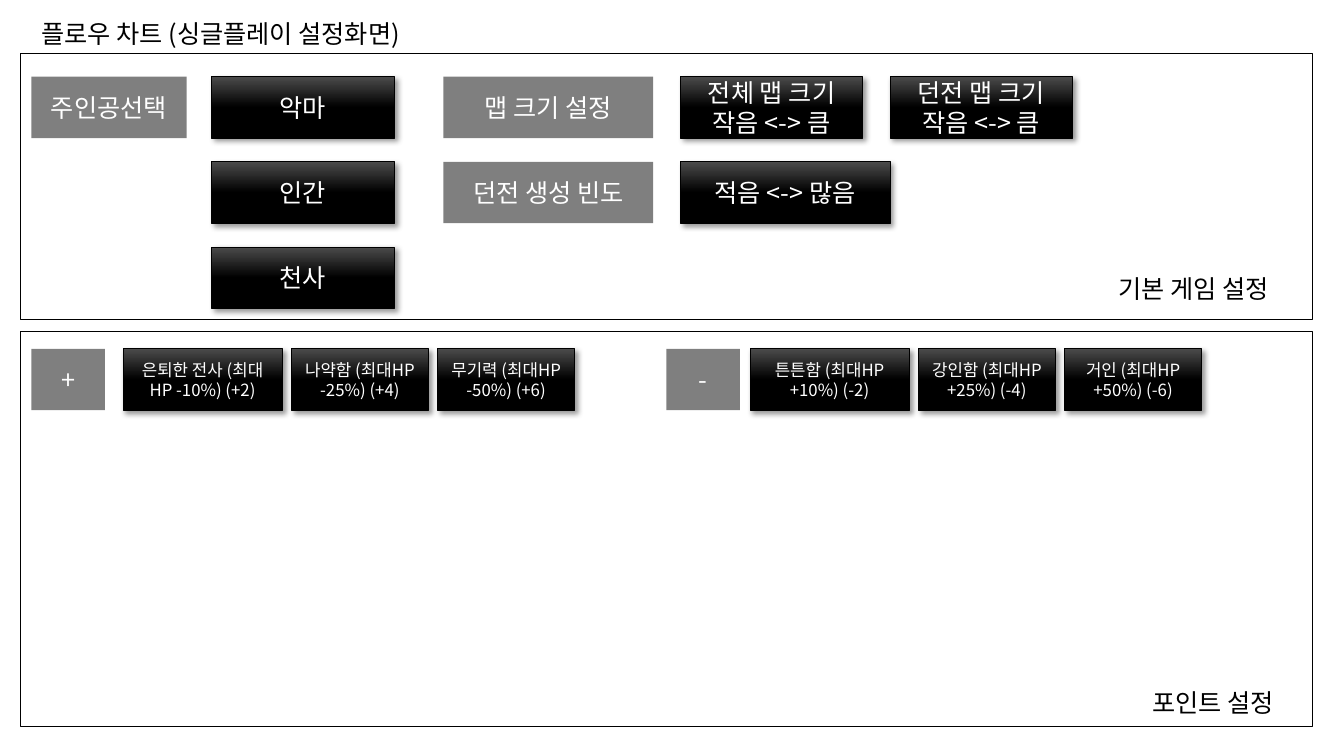
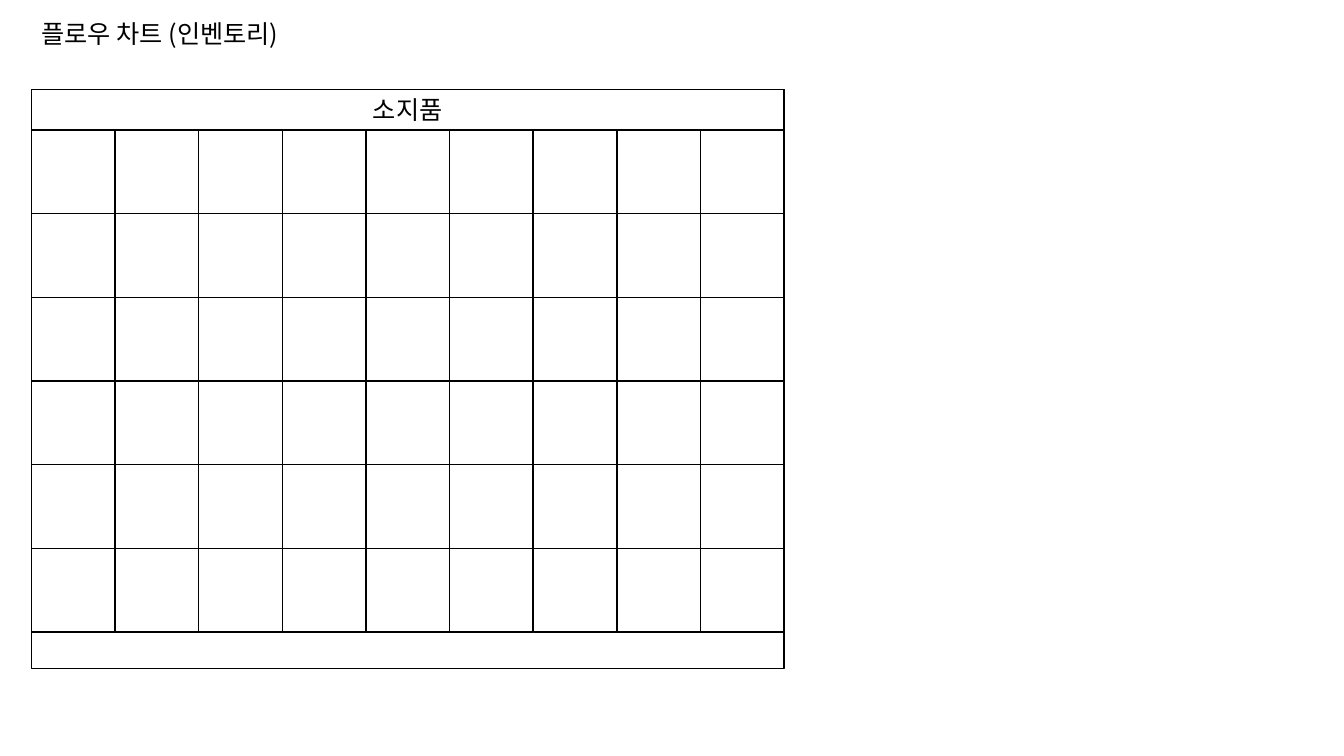
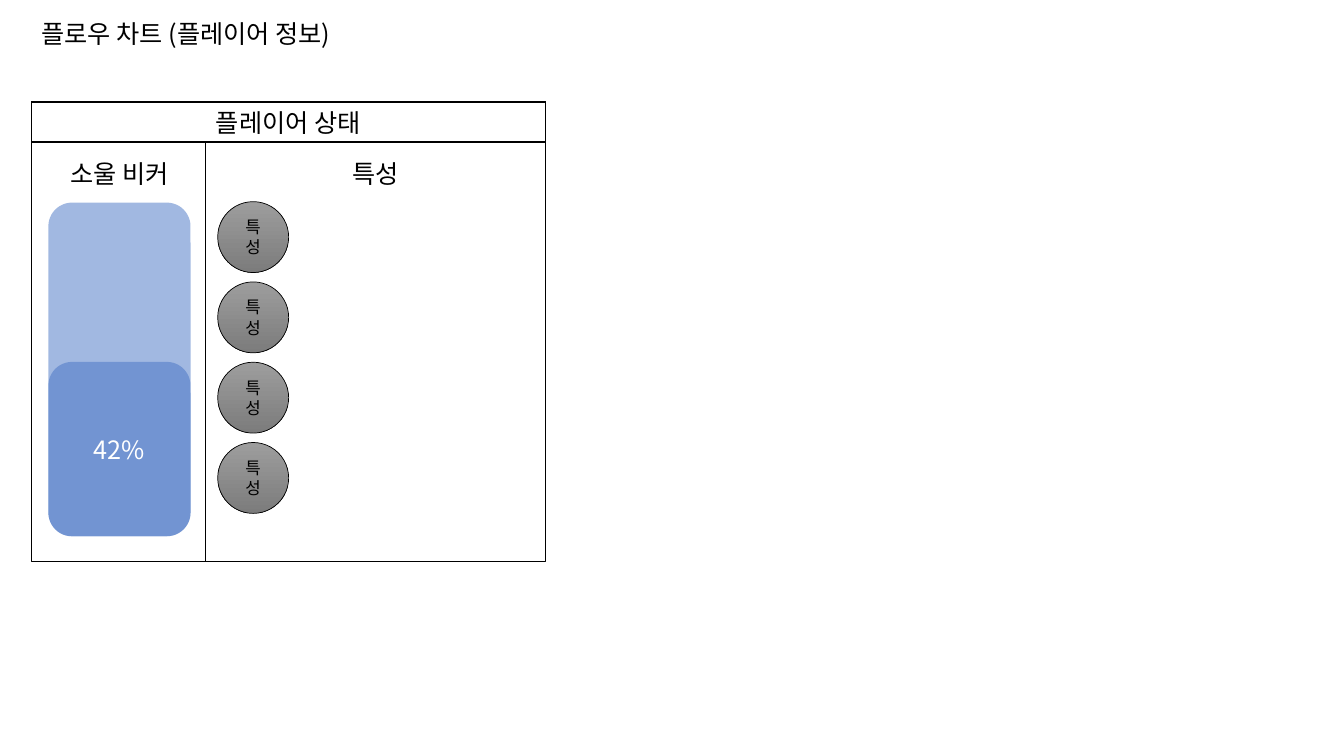
"""Build three game-menu flow chart slides: single play setup, inventory and player information."""
from lxml.etree import SubElement
from pptx import Presentation
from pptx.enum.shapes import MSO_CONNECTOR, MSO_SHAPE as SHAPE
from pptx.enum.text import MSO_ANCHOR as ANCHOR, MSO_AUTO_SIZE as AUTO, PP_ALIGN as ALIGN
from pptx.dml.color import RGBColor
from pptx.oxml.ns import qn
from pptx.util import Inches, Pt

FONT = "Noto Sans CJK KR"
BLACK, WHITE, BLUE = "000000", "FFFFFF", "4472C4"
LEFT, BAR = 2.33, 5.33

TAG = dict(fill=["000000"], alpha=50, ink=WHITE)
BUTTON = dict(fill=["4B4B4B", "000000"], fade_end=0.5, border=0.5, shadow=True, ink=WHITE)
FRAME = dict(border=0.75)
CELL = dict(fill=[WHITE], border=1)
LIQUID = dict(kind=SHAPE.ROUNDED_RECTANGLE, fill=[BLUE], alpha=50, ink=WHITE)
TRAIT = dict(kind=SHAPE.OVAL, fill=["9D9D9D", "7C7C7C"], border=0.5, size=12)
NOTE = dict(kind=None, align=ALIGN.LEFT, anchor=ANCHOR.TOP, grow=True)
LABEL = dict(kind=None)

deck = Presentation()
deck.slide_width, deck.slide_height = Inches(13.33), Inches(7.5)
COL, ROW = deck.slide_width / 100, deck.slide_height / 100


def paint(fill, colors, fade_end=1):
    """Fill with one hex colour, or fade downwards between two."""
    if len(colors) == 1:
        fill.solid()
        fill.fore_color.rgb = RGBColor.from_string(colors[0])
        return
    fill.gradient()
    fill.gradient_angle = 270
    for stop, color, position in zip(fill.gradient_stops, colors, (0, fade_end)):
        stop.color.rgb = RGBColor.from_string(color)
        stop.position = position


def block(page, at, *lines, kind=SHAPE.RECTANGLE, fill=None, fade_end=1, alpha=None, border=None,
          shadow=False, ink=BLACK, size=18, align=ALIGN.CENTER, anchor=ANCHOR.MIDDLE, grow=False):
    """Place a shape or text box; at is left, top, width, height in percent of the slide."""
    place = [round(share * unit) for share, unit in zip(at, (COL, ROW, COL, ROW))]
    if kind is None:
        box = page.shapes.add_textbox(*place)
    else:
        box = page.shapes.add_shape(kind, *place)
        box.shadow.inherit = False
        props = box._element.spPr
        if fill:
            paint(box.fill, fill, fade_end)
        else:
            box.fill.background()
        if alpha:
            SubElement(props.find(".//" + qn("a:srgbClr")), qn("a:alpha"), val=str(alpha * 1000))
        if border:
            paint(box.line.fill, [BLACK])
            box.line.width = Pt(border)
        else:
            box.line.fill.background()
        if shadow:
            outer = SubElement(props.find(qn("a:effectLst")), qn("a:outerShdw"), blurRad=str(Pt(4)),
                               dist=str(Pt(3)), dir="2700000", algn="tl", rotWithShape="0")
            tint = SubElement(outer, qn("a:srgbClr"), val=BLACK)
            SubElement(tint, qn("a:alpha"), val="40000")
    frame = box.text_frame
    frame.word_wrap = True
    frame.vertical_anchor = anchor
    if grow:
        frame.auto_size = AUTO.SHAPE_TO_FIT_TEXT
    for index, line in enumerate(lines):
        para = frame.add_paragraph() if index else frame.paragraphs[0]
        para.alignment = align
        span = para.add_run()
        span.text = line
        span.font.size = Pt(size)
        span.font.name = FONT
        paint(span.font.fill, [ink])
        SubElement(span._r.get_or_add_rPr(), qn("a:ea"), typeface=FONT)


pages = []
for topic in ("싱글플레이 설정화면", "인벤토리", "플레이어 정보"):
    page = deck.slides.add_slide(deck.slide_layouts[6])
    block(page, (LEFT, 1.73, 38.7, BAR), f"플로우 차트 ({topic})", **NOTE)
    pages.append(page)
setup, inventory, player = pages

for top, height, left, caption_top, caption in (
    (7.07, 35.2, 82.5, 35.47, "기본 게임 설정"),
    (43.87, 52.27, 84.98, 90.27, "포인트 설정"),
):
    block(setup, (1.5, top, 96.15, height), **FRAME)
    block(setup, (left, caption_top, 15.98, BAR), caption, **NOTE)

OPTION_TOP, OPTION_STEP, OPTION_HEIGHT = 10.13, 11.27, 8.13
for row, left, width, style, lines in (
    (0, LEFT, 11.55, TAG, ["주인공선택"]),
    (0, 15.75, 13.58, BUTTON, ["악마"]),
    (1, 15.75, 13.58, BUTTON, ["인간"]),
    (2, 15.75, 13.58, BUTTON, ["천사"]),
    (0, 33, 15.6, TAG, ["맵 크기 설정"]),
    (1, 33, 15.6, TAG, ["던전 생성 빈도"]),
    (0, 50.62, 13.58, BUTTON, ["전체 맵 크기", "작음 <-> 큼"]),
    (0, 66.22, 13.58, BUTTON, ["던전 맵 크기", "작음 <-> 큼"]),
    (1, 50.62, 15.6, BUTTON, ["적음 <-> 많음"]),
):
    block(setup, (left, OPTION_TOP + row * OPTION_STEP, width, OPTION_HEIGHT), *lines, **style)

PERK_TOP, PERK_GAP = 46.13, 0.68
for sign, sign_left, left, perks in (
    ("+", LEFT, 9.15, ("은퇴한 전사 (최대HP -10%) (+2)", "나약함 (최대HP -25%) (+4)",
                       "무기력 (최대HP -50%) (+6)")),
    ("-", 49.58, 55.8, ("튼튼함 (최대HP +10%) (-2)", "강인함 (최대HP +25%) (-4)",
                        "거인 (최대HP +50%) (-6)")),
):
    block(setup, (sign_left, PERK_TOP, 5.48, OPTION_HEIGHT), sign, **TAG)
    for perk, width in zip(perks, (11.85, 10.2, 10.2)):
        block(setup, (left, PERK_TOP, width, OPTION_HEIGHT), perk, size=12, **BUTTON)
        left += width + PERK_GAP

BAG_TOP, BAG_WIDTH, SLOT_COLS, SLOT_ROWS, SLOT_HEIGHT = 11.87, 56.02, 9, 6, 11.07
SLOT_WIDTH = BAG_WIDTH / SLOT_COLS
block(inventory, (LEFT, BAG_TOP, BAG_WIDTH, 76.53), **CELL)
block(inventory, (LEFT, BAG_TOP, BAG_WIDTH, BAR), "소지품", **CELL)
for row in range(SLOT_ROWS):
    for col in range(SLOT_COLS):
        block(inventory, (LEFT + col * SLOT_WIDTH, BAG_TOP + BAR + row * SLOT_HEIGHT,
                          SLOT_WIDTH, SLOT_HEIGHT), **CELL)

STATUS_TOP, STATUS_WIDTH, STATUS_HEIGHT = 13.47, 38.25, 60.8
block(player, (LEFT, STATUS_TOP, STATUS_WIDTH, STATUS_HEIGHT), **CELL)
block(player, (LEFT, STATUS_TOP, STATUS_WIDTH, BAR), "플레이어 상태", **CELL)

BEAKER_LEFT, BEAKER_WIDTH = 3.6, 10.58
block(player, (BEAKER_LEFT, 26.8, BEAKER_WIDTH, 44.13), **LIQUID)
block(player, (BEAKER_LEFT, 47.87, BEAKER_WIDTH, 23.07), "42%", **LIQUID)
for left, heading in ((BEAKER_LEFT, "소울 비커"), (22.65, "특성")):
    block(player, (left, 20.4, BEAKER_WIDTH, 5.07), heading, **LABEL)

divider_x = round(15.3 * COL)
divider = player.shapes.add_connector(
    MSO_CONNECTOR.STRAIGHT, divider_x, round((STATUS_TOP + BAR) * ROW),
    divider_x, round((STATUS_TOP + STATUS_HEIGHT) * ROW))
paint(divider.line.fill, [BLACK])
divider.line.width = Pt(0.5)
SubElement(divider._element.spPr, qn("a:effectLst"))

for row in range(4):
    block(player, (16.2, 26.67 + row * 10.62, 5.28, 9.38), "특성", **TRAIT)

deck.save("out.pptx")
